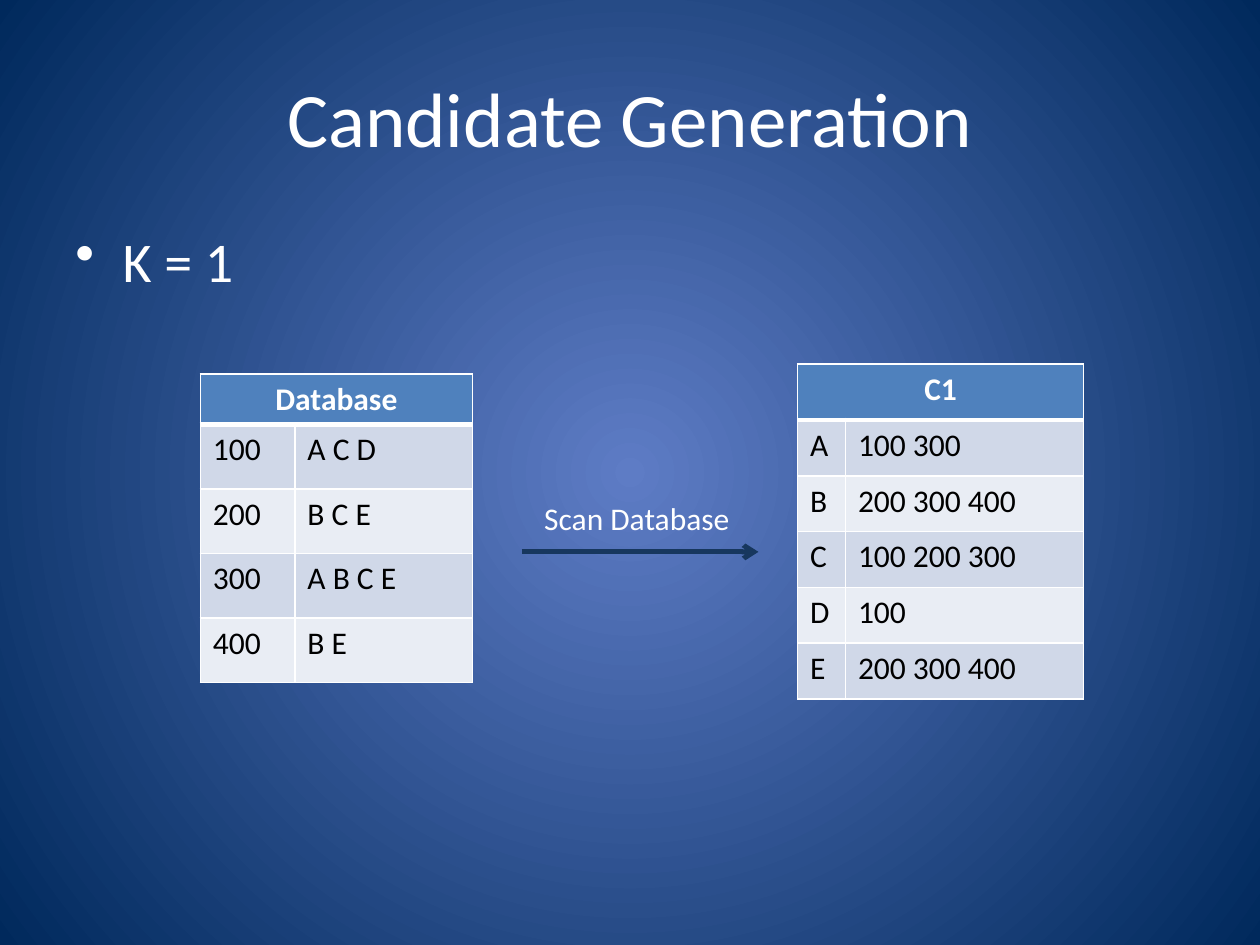
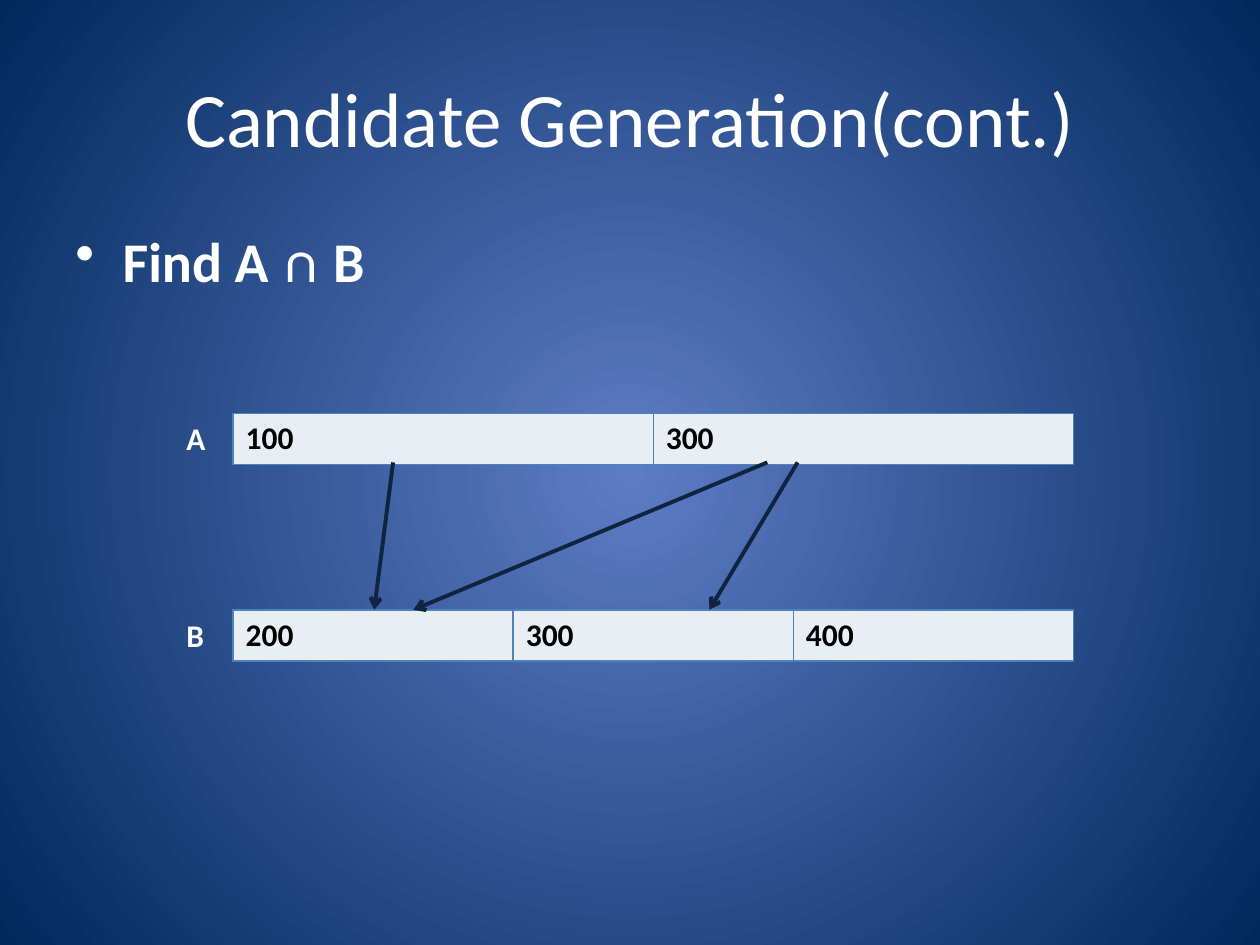
import lxml.etree
import pptx
import pptx.dml.color
import pptx.enum.shapes
import pptx.enum.text
import pptx.oxml
import pptx.oxml.ns
import pptx.util

RGBColor = pptx.dml.color.RGBColor
WHITE = RGBColor(0xFF, 0xFF, 0xFF)
BLACK = RGBColor(0x00, 0x00, 0x00)
GLOW = RGBColor(0x5E, 0x7C, 0xC5)
NAVY = RGBColor(0x00, 0x29, 0x5C)
HEADER = RGBColor(0x4F, 0x81, 0xBD)
DARK_BAND = RGBColor(0xD0, 0xD8, 0xE8)
LIGHT_BAND = RGBColor(0xE9, 0xED, 0xF4)
SCAN_ARROW = RGBColor(0x17, 0x37, 0x5E)
MATCH_ARROW = RGBColor(0x0F, 0x24, 0x3E)
FONT = "Calibri"
LEFT = pptx.enum.text.PP_ALIGN.LEFT
CENTER = pptx.enum.text.PP_ALIGN.CENTER
TOP = pptx.enum.text.MSO_ANCHOR.TOP
MIDDLE = pptx.enum.text.MSO_ANCHOR.MIDDLE
NAMESPACE = pptx.oxml.ns.nsdecls("a")

# The slide is a grid of 100 columns by 75 rows of square cells
deck = pptx.Presentation()
CELL = pptx.util.Inches(0.1)
deck.slide_width, deck.slide_height = 100 * CELL, 75 * CELL


def add_text(page, text, place, size, bold=False, align=LEFT, anchor=TOP, wrap=True):
    box = page.shapes.add_textbox(*[round(n * CELL) for n in place])
    frame = box.text_frame
    frame.text = text
    frame.word_wrap = wrap
    frame.vertical_anchor = anchor
    para = frame.paragraphs[0]
    para.alignment = align
    font = para.runs[0].font
    font.name, font.size, font.bold = FONT, pptx.util.Pt(size), bold
    font.color.rgb = WHITE
    return para


def add_grid(page, rows, left, top, widths, heights, border, title=None, bold=False):
    if title:
        rows = [[title, ""]] + rows
    place = [round(n * CELL) for n in (left, top, sum(widths), sum(heights))]
    table = page.shapes.add_table(len(rows), len(widths), *place).table
    table.first_row = bool(title)
    table.horz_banding = False
    for column, width in zip(table.columns, widths):
        column.width = round(width * CELL)
    for r, texts in enumerate(rows):
        table.rows[r].height = round(heights[r] * CELL)
        is_header = bool(title) and r == 0
        for c, text in enumerate(texts):
            cell = table.cell(r, c)
            cell.text = text
            cell.fill.solid()
            banded = title and r % 2 == 1
            cell.fill.fore_color.rgb = HEADER if is_header else DARK_BAND if banded else LIGHT_BAND
            para = cell.text_frame.paragraphs[0]
            para.alignment = CENTER if is_header else LEFT
            for span in para.runs:
                span.font.name, span.font.size = FONT, pptx.util.Pt(18)
                span.font.bold = is_header or bold
                span.font.color.rgb = WHITE if is_header else BLACK
            # Borders, with a heavy rule under the header
            for order, side in enumerate("LRTB"):
                heavy = title and (r, side) in ((0, "B"), (1, "T"))
                line = pptx.oxml.parse_xml(
                    f'<a:ln{side} {NAMESPACE} w="{pptx.util.Pt(3 if heavy else 1)}">'
                    f'<a:solidFill><a:srgbClr val="{border}"/></a:solidFill></a:ln{side}>')
                cell._tc.get_or_add_tcPr().insert(order, line)
    if title:
        table.cell(0, 0).merge(table.cell(0, 1))


# Shared background, title and bullet
pages = []
for title, bullet, bold in [("Candidate Generation", "K = 1", False),
                            ("Candidate Generation(cont.)", "Find A ∩ B", True)]:
    page = deck.slides.add_slide(deck.slide_layouts[6])
    pages.append(page)
    fill = page.background.fill
    fill.gradient()
    for stop, color, position in zip(fill.gradient_stops, (GLOW, NAVY), (0, 1)):
        stop.color.rgb, stop.position = color, position
    linear = page._element.find(".//" + pptx.oxml.ns.qn("a:lin"))
    linear.getparent().replace(linear, pptx.oxml.parse_xml(
        f'<a:path {NAMESPACE} path="circle">'
        '<a:fillToRect l="50000" t="50000" r="50000" b="50000"/></a:path>'))

    add_text(page, title, (5, 3, 90, 12.5), 44, align=CENTER, anchor=MIDDLE)
    para = add_text(page, bullet, (5, 17.5, 90, 49.5), 32, bold)
    para.space_before = pptx.util.Pt(6.4)
    properties = para._p.get_or_add_pPr()
    indent = round(3.75 * CELL)
    properties.set("marL", str(indent))
    properties.set("indent", str(-indent))
    lxml.etree.SubElement(properties, pptx.oxml.ns.qn("a:buChar")).set("char", "•")
first_pass, intersection = pages

# Slide 1: the database and the candidates found by scanning it
database = [["100", "A C D"], ["200", "B C E"], ["300", "A B C E"], ["400", "B E"]]
candidates = [["A", "100 300"], ["B", "200 300 400"], ["C", "100 200 300"],
              ["D", "100"], ["E", "200 300 400"]]
add_grid(first_pass, database, 15.9, 29.7, [7.5, 14.1], [4] + [5.12] * 4, WHITE, "Database")
add_grid(first_pass, candidates, 63.3, 28.9, [3.8, 18.9], [4.43] * 6, WHITE, "C1")
add_text(first_pass, "Scan Database", (42.2, 39.1, 16.9, 4), 18, wrap=False)

# Slide 2: two lists of equal width, each split into equal cells
LIST_WIDTH = 66.7
LIST_A, LIST_B = 32.8, 48.4
for name, top, entries in [("A", LIST_A, ["100", "300"]), ("B", LIST_B, ["200", "300", "400"])]:
    count = len(entries)
    add_grid(intersection, [entries], 18.5, top, [LIST_WIDTH / count] * count, [4.05], HEADER, bold=True)
    add_text(intersection, name, (13.8, top, 3.5, 4), 18, True, wrap=False)

# Arrows: the scan, then the comparisons between the lists
arrows = [(first_pass, (41.4, 43.8), (60.2, 43.8), SCAN_ARROW, 2.75)]
for start, end in [(31.2, 29.7), (60.9, 32.8), (63.3, 56.3)]:
    arrows.append((intersection, (start, 36.7), (end, LIST_B), MATCH_ARROW, 2.25))
for page, start, end, color, weight in arrows:
    arrow = page.shapes.add_connector(pptx.enum.shapes.MSO_CONNECTOR.STRAIGHT,
                                      *[round(n * CELL) for n in start + end])
    arrow.line.color.rgb = color
    arrow.line.width = pptx.util.Pt(weight)
    properties = arrow._element.spPr
    outline = properties.find(pptx.oxml.ns.qn("a:ln"))
    lxml.etree.SubElement(outline, pptx.oxml.ns.qn("a:tailEnd")).set("type", "arrow")
    lxml.etree.SubElement(properties, pptx.oxml.ns.qn("a:effectLst"))

deck.save("out.pptx")
